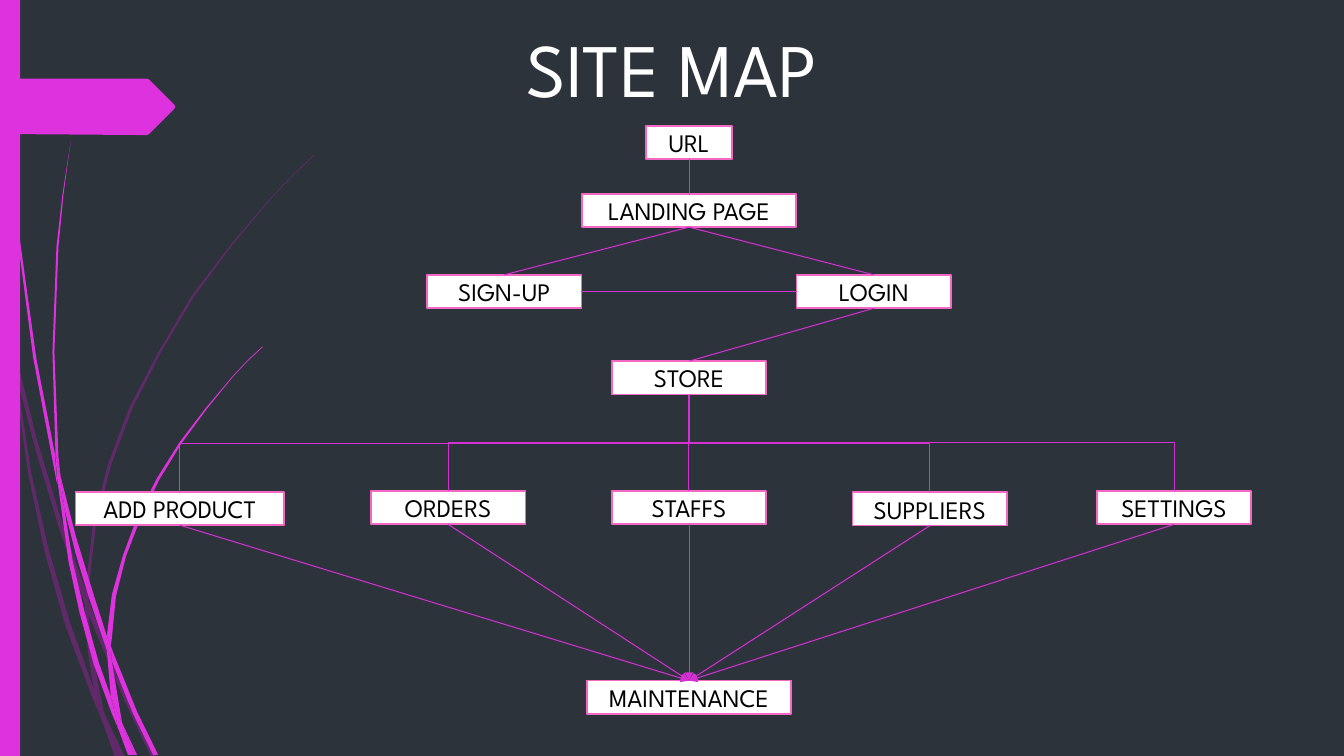
from dataclasses import dataclass

from lxml import etree
from pptx import Presentation
from pptx import util as u
from pptx.dml.color import RGBColor
from pptx.enum import shapes, text
from pptx.oxml.ns import qn


@dataclass(frozen=True)
class Theme:
    background: str = "2C333A"
    accent: str = "DE32DE"
    wisp: str = "B01CB0"
    wisp_alpha: int = 40
    white: str = "FFFFFF"
    ink: str = "000000"
    border: str = "F268C2"
    link: str = "D430D4"
    font: str = "League Spartan"
    title_size: float = 54
    label_size: float = 18
    border_width: float = 1.25
    link_width: float = 0.75


THEME = Theme()
COLS, ROWS = 160, 90
CELL = u.Inches(1) // 12
BOX_ROWS = 3.98
AXIS = 82.03

# name: (centre column, top row, width in columns)
PAGES = {
    "URL": (AXIS, 14.97, 10.3),
    "LANDING PAGE": (AXIS, 23.06, 25.56),
    "SIGN-UP": (AXIS - 22, 32.72, 18.4),
    "LOGIN": (AXIS + 22, 32.72, 18.4),
    "STORE": (AXIS, 43, 18.4),
    "SETTINGS": (139.77, 58.45, 18.4),
    "ORDERS": (53.36, 58.45, 18.4),
    "SUPPLIERS": (110.7, 58.6, 18.4),
    "ADD PRODUCT": (21.4, 58.54, 24.8),
    "STAFFS": (AXIS, 58.45, 18.4),
    "MAINTENANCE": (AXIS, 81.03, 24.36),
}
SECTIONS = ["ADD PRODUCT", "ORDERS", "STAFFS", "SUPPLIERS", "SETTINGS"]
TOP, LEFT, BOTTOM, RIGHT = range(4)
LINKS = [
    ("URL", BOTTOM, "LANDING PAGE", TOP),
    ("LANDING PAGE", BOTTOM, "SIGN-UP", TOP),
    ("LANDING PAGE", BOTTOM, "LOGIN", TOP),
    ("LOGIN", BOTTOM, "STORE", TOP),
    ("SIGN-UP", RIGHT, "LOGIN", LEFT),
]

# Corner points of each piece, in inches
FAINT_WISPS = [
    [(.11, 3.5), (.09, 3.22), (0, 2.82), (0, 2.99), (.1, 3.44)],
    [(.58, 5.22), (.84, 5.99), (.85, 5.86), (.62, 5.2), (.36, 4.34), (.14, 3.45), (.17, 3.76),
     (.36, 4.49)],
    [(.92, 6.07), (.88, 5.96), (.88, 6.1), (1.23, 6.94), (1.5, 7.51), (1.55, 7.51), (1.27, 6.92)],
    [(1.19, 7.51), (1.24, 7.51), (1.05, 7.11)],
    [(.93, 6.83), (.7, 6.19), (.48, 5.44), (.31, 4.69), (.17, 3.76), (.11, 3.5), (.28, 4.7),
     (.44, 5.46), (.65, 6.21), (.92, 6.93), (1.01, 7.14), (.99, 7.07)],
    [(.84, 5.99), (.87, 6.46), (.93, 6.83), (.96, 6.92), (1.05, 7.11), (1.03, 7.06), (.91, 6.46),
     (.88, 6.1), (.88, 6.08)],
    [(.88, 5.84), (.95, 5.22), (1.1, 4.62), (1.32, 4.04), (1.6, 3.49), (1.92, 2.95), (2.29, 2.45),
     (2.68, 1.98), (2.9, 1.75), (3.12, 1.54), (3.12, 1.53), (2.89, 1.75), (2.68, 1.97),
     (2.28, 2.44), (1.9, 2.94), (1.58, 3.48), (1.29, 4.03), (1.07, 4.61), (.92, 5.22),
     (.85, 5.84), (.85, 5.86), (.88, 5.96)],
    [(1.01, 7.14), (1.14, 7.51), (1.19, 7.51)],
    [(.88, 6.08), (.88, 6.1), (.88, 5.96), (.85, 5.86), (.84, 5.99)],
    [(.96, 6.92), (.93, 6.83), (.99, 7.07), (1.01, 7.14), (1.19, 7.51), (1.05, 7.11)],
]
BRIGHT_WISPS = [
    [(.07, 1.1), (.17, 2.33), (.33, 3.55), (.56, 4.77), (.57, 4.81), (.55, 4.57), (.55, 4.53),
     (.36, 3.55), (.19, 2.32), (.08, 1.09), (.05, .48), (.04, 0), (.03, 0), (.04, .48)],
    [(.88, 5.92), (1.06, 6.45), (1.06, 6.33), (1.06, 6.31), (.93, 5.9), (.75, 5.31), (.6, 4.72),
     (.64, 5.05), (.75, 5.49)],
    [(1.13, 6.49), (1.1, 6.41), (1.11, 6.56), (1.32, 7.08), (1.52, 7.49), (1.57, 7.49),
     (1.36, 7.06)],
    [(1.1, 6.91), (.98, 6.57), (.84, 6.07), (.72, 5.56), (.64, 5.05), (.57, 4.77), (.68, 5.57),
     (.79, 6.08), (.93, 6.59), (1.11, 7.08), (1.17, 7.22), (1.16, 7.17)],
    [(.6, 4.72), (.58, 4.53), (.54, 3.49), (.58, 2.45), (.63, 1.93), (.7, 1.41), (.62, 1.93),
     (.56, 2.45), (.52, 3.49), (.55, 4.49)],
    [(1.33, 7.49), (1.36, 7.49), (1.22, 7.19)],
    [(.57, 4.77), (.64, 5.05), (.6, 4.72), (.55, 4.49), (.55, 4.53)],
    [(1.11, 6.33), (1.15, 5.92), (1.25, 5.52), (1.4, 5.13), (1.58, 4.76), (1.8, 4.4), (2.05, 4.06),
     (2.31, 3.74), (2.45, 3.59), (2.61, 3.44), (2.6, 3.44), (2.45, 3.58), (2.31, 3.73),
     (2.04, 4.05), (1.78, 4.39), (1.56, 4.74), (1.37, 5.11), (1.22, 5.51), (1.11, 5.9),
     (1.06, 6.31), (1.1, 6.41)],
    [(1.17, 7.22), (1.27, 7.49), (1.31, 7.49)],
    [(1.06, 6.45), (1.1, 6.91), (1.16, 7.06), (1.22, 7.19), (1.21, 7.16), (1.11, 6.56),
     (1.09, 6.51)],
    [(1.06, 6.45), (1.09, 6.51), (1.11, 6.56), (1.1, 6.41), (1.06, 6.31), (1.06, 6.33)],
    [(1.16, 7.06), (1.1, 6.91), (1.16, 7.17), (1.17, 7.22), (1.3, 7.49), (1.33, 7.49),
     (1.22, 7.19)],
]
TAG = [(1.73, 1.08), (1.48, 1.33), (1.46, 1.34), (1.36, 1.34), (0, 1.33), (0, .78), (1.36, .78),
       (1.46, .78), (1.48, .79), (1.73, 1.04), (1.74, 1.06)]


def rgb(value):
    return RGBColor.from_string(value)


def grid(*cells):
    return [round(c * CELL) for c in cells]


def paint(sp, color, line=None, alpha=None):
    sp.shadow.inherit = False
    sp.fill.solid()
    sp.fill.fore_color.rgb = rgb(color)
    if alpha:
        clr = sp._element.spPr.find(".//" + qn("a:srgbClr"))
        etree.SubElement(clr, qn("a:alpha")).set("val", str(alpha * 1000))
    if line:
        sp.line.color.rgb = rgb(line)
        sp.line.width = u.Pt(THEME.border_width)
    else:
        sp.line.fill.background()


def write(sp, words, *, size, color, anchor):
    tf = sp.text_frame
    tf.word_wrap = True
    tf.vertical_anchor = anchor
    p = tf.paragraphs[0]
    p.alignment = text.PP_ALIGN.CENTER
    r = p.add_run()
    r.text = words
    r.font.name = THEME.font
    r.font.size = u.Pt(size)
    r.font.color.rgb = rgb(color)


def outline(s, points, color, alpha=None):
    start, *rest = [(u.Inches(x), u.Inches(y)) for x, y in points]
    builder = s.shapes.build_freeform(*start, scale=1.0)
    builder.add_line_segments(rest, close=True)
    paint(builder.convert_to_shape(), color, alpha=alpha)


def page_box(s, name, center, top, width):
    sp = s.shapes.add_shape(shapes.MSO_SHAPE.RECTANGLE,
                            *grid(center - width / 2, top, width, BOX_ROWS))
    paint(sp, THEME.white, line=THEME.border)
    write(sp, name, size=THEME.label_size, color=THEME.ink, anchor=text.MSO_ANCHOR.MIDDLE)
    return sp


def link(s, start, start_side, end, end_side, kind=shapes.MSO_CONNECTOR.STRAIGHT, arrow=False):
    cxn = s.shapes.add_connector(kind, 0, 0, 0, 0)
    cxn.begin_connect(start, start_side)
    cxn.end_connect(end, end_side)
    cxn.line.color.rgb = rgb(THEME.link)
    cxn.line.width = u.Pt(THEME.link_width)
    if arrow:
        ln = cxn._element.spPr.find(qn("a:ln"))
        etree.SubElement(ln, qn("a:tailEnd")).set("type", "triangle")
    etree.SubElement(cxn._element.spPr, qn("a:effectLst"))
    return cxn


def branch(s, parent, child):
    """Join parent to child below it by an elbow that leaves downwards."""
    cxn = link(s, parent, BOTTOM, child, TOP, kind=shapes.MSO_CONNECTOR.ELBOW)
    x1, y1, x2, y2 = cxn.begin_x, cxn.begin_y, cxn.end_x, cxn.end_y
    drop, reach = y2 - y1, abs(x2 - x1)
    cxn.left, cxn.top = (x1 + x2 - drop) // 2, (y1 + y2 - reach) // 2
    cxn.width, cxn.height = drop, reach
    xfrm = cxn._element.spPr.find(qn("a:xfrm"))
    leftward = x2 < x1
    xfrm.set("rot", str((90 if leftward else 270) * 60000))
    xfrm.set("flipH", "0" if leftward else "1")
    xfrm.set("flipV", "0")


def decorate(s):
    for points in FAINT_WISPS:
        outline(s, points, THEME.wisp, THEME.wisp_alpha)
    for points in BRIGHT_WISPS:
        outline(s, points, THEME.accent)
    bar = s.shapes.add_shape(shapes.MSO_SHAPE.RECTANGLE, *grid(0, 0, 2.4, ROWS))
    paint(bar, THEME.accent)
    outline(s, TAG, THEME.accent)


def main():
    prs = Presentation()
    prs.slide_width, prs.slide_height = grid(COLS, ROWS)
    s = prs.slides.add_slide(prs.slide_layouts[6])
    s.background.fill.solid()
    s.background.fill.fore_color.rgb = rgb(THEME.background)
    decorate(s)
    write(s.shapes.add_textbox(*grid(11, 2, 138, 9)), "SITE MAP",
          size=THEME.title_size, color=THEME.white, anchor=text.MSO_ANCHOR.TOP)
    boxes = {name: page_box(s, name, *place) for name, place in PAGES.items()}
    for start, start_side, end, end_side in LINKS:
        link(s, boxes[start], start_side, boxes[end], end_side)
    for name in SECTIONS:
        branch(s, boxes["STORE"], boxes[name])
    for name in SECTIONS:
        link(s, boxes[name], BOTTOM, boxes["MAINTENANCE"], TOP, arrow=True)
    prs.save("out.pptx")


if __name__ == "__main__":
    main()
